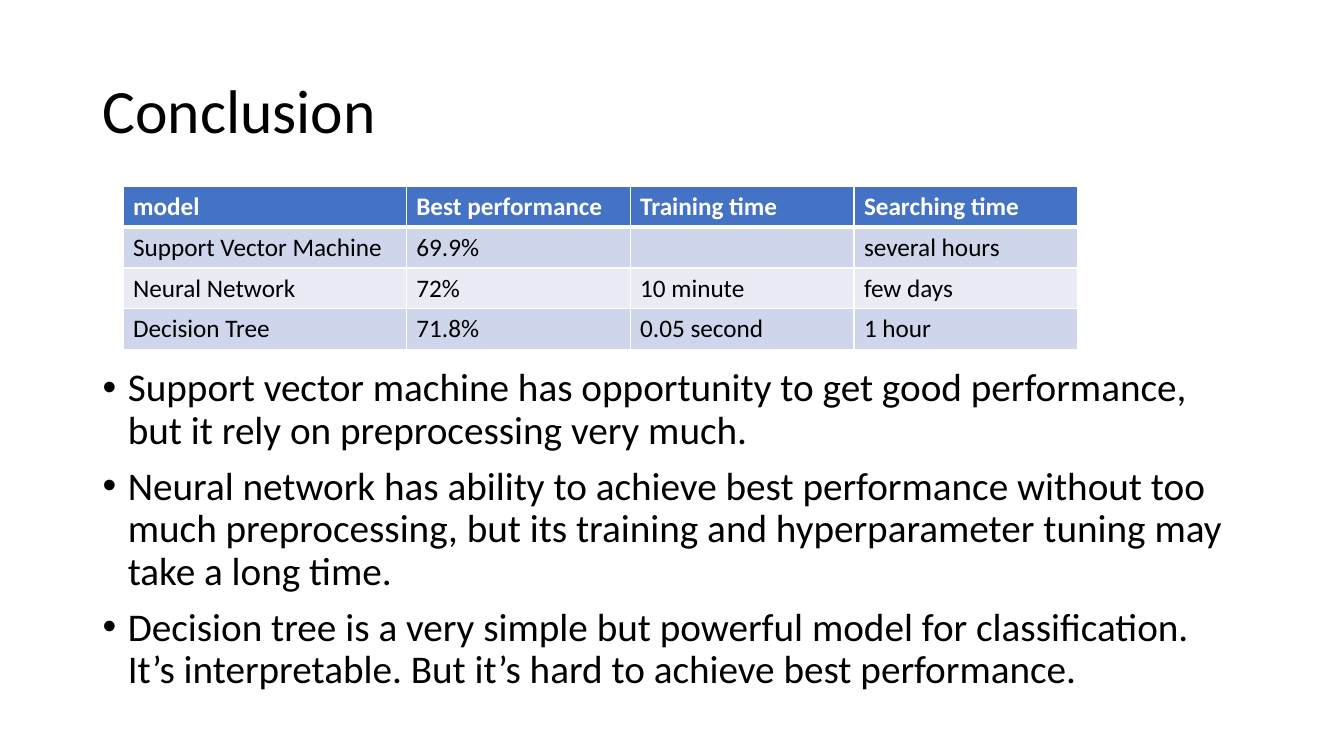
from lxml.etree import SubElement
from pptx import Presentation
from pptx.dml.color import RGBColor
from pptx.enum.text import MSO_ANCHOR
from pptx.oxml.ns import qn
from pptx.util import Inches, Pt

FONT = "Calibri"
BLACK, WHITE, HEADER_BLUE = "000000", "FFFFFF", "4472C4"
BAND_COLORS = ["CFD5EA", "E9EBF5"]
MODEL_ROWS = [
    ["model", "Best performance", "Training time", "Searching time"],
    ["Support Vector Machine", "69.9%", "", "several hours"],
    ["Neural Network", "72%", "10 minute", "few days"],
    ["Decision Tree", "71.8%", "0.05 second", "1 hour"],
]
CONCLUSIONS = [
    "Support vector machine has opportunity to get good performance, "
    "but it rely on preprocessing very much.",
    "Neural network has ability to achieve best performance without too much "
    "preprocessing, but its training and hyperparameter tuning may take a long time.",
    "Decision tree is a very simple but powerful model for classification. "
    "It’s interpretable. But it’s hard to achieve best performance.",
]


def rgb(color):
    """Turn a hex string into a colour."""
    return RGBColor.from_string(color)


def format_runs(paragraph, size, color, bold=False):
    """Set the font of every run in a paragraph."""
    for run in paragraph.runs:
        run.font.name = FONT
        run.font.size = Pt(size)
        run.font.bold = bold
        run.font.color.rgb = rgb(color)


def add_text(slide, box, lines, size, anchor):
    """Place wrapped lines in a box and return their paragraphs."""
    shape = slide.shapes.add_textbox(*map(Inches, box))
    text_frame = shape.text_frame
    text_frame.word_wrap = True
    text_frame.vertical_anchor = anchor
    text_frame.text = "\n".join(lines)
    for paragraph in text_frame.paragraphs:
        paragraph.line_spacing = 0.9
        format_runs(paragraph, size, BLACK)
    return text_frame.paragraphs


def add_bullets(slide, box, lines):
    """Place a bulleted list with hanging indents."""
    for index, paragraph in enumerate(add_text(slide, box, lines, 28, MSO_ANCHOR.TOP)):
        paragraph.space_before = Pt(10 if index else 0)
        properties = paragraph._p.get_or_add_pPr()
        properties.set("marL", str(Inches(0.25)))
        properties.set("indent", str(Inches(-0.25)))
        SubElement(properties, qn("a:buFont"), typeface="Arial")
        SubElement(properties, qn("a:buChar"), char="•")


def add_borders(cell, widths):
    """Draw white cell borders with the given widths per side."""
    properties = cell._tc.get_or_add_tcPr()
    for side, width in widths.items():
        line = SubElement(properties, qn(f"a:ln{side}"), w=str(Pt(width)))
        fill = SubElement(line, qn("a:solidFill"))
        SubElement(fill, qn("a:srgbClr"), val=WHITE)


def add_model_table(slide, box, rows):
    """Place the model comparison with a header and banded rows."""
    left, top, width, height = map(Inches, box)
    table = slide.shapes.add_table(len(rows), len(rows[0]), left, top, width, height).table
    first_width = Inches(2.81)
    for index, column in enumerate(table.columns):
        column.width = (width - first_width) // (len(rows[0]) - 1) if index else first_width
    for row_index, row in enumerate(rows):
        header = row_index == 0
        color = HEADER_BLUE if header else BAND_COLORS[(row_index - 1) % 2]
        for column_index, text in enumerate(row):
            cell = table.cell(row_index, column_index)
            cell.text_frame.text = text
            format_runs(cell.text_frame.paragraphs[0], 18, WHITE if header else BLACK, header)
            add_borders(cell, {"L": 1, "R": 1, "T": 3 if row_index == 1 else 1,
                               "B": 3 if header else 1})
            cell.fill.solid()
            cell.fill.fore_color.rgb = rgb(color)


def main():
    """Build the conclusion slide."""
    presentation = Presentation()
    presentation.slide_width = Inches(13.33)
    presentation.slide_height = Inches(7.5)
    slide = presentation.slides.add_slide(presentation.slide_layouts[6])
    add_text(slide, (0.92, 0.4, 11.5, 1.45), ["Conclusion"], 44, MSO_ANCHOR.MIDDLE)
    add_bullets(slide, (0.92, 3.6, 11.5, 3.5), CONCLUSIONS)
    add_model_table(slide, (1.22, 1.85, 9.47, 1.62), MODEL_ROWS)
    presentation.save("out.pptx")


if __name__ == "__main__":
    main()
